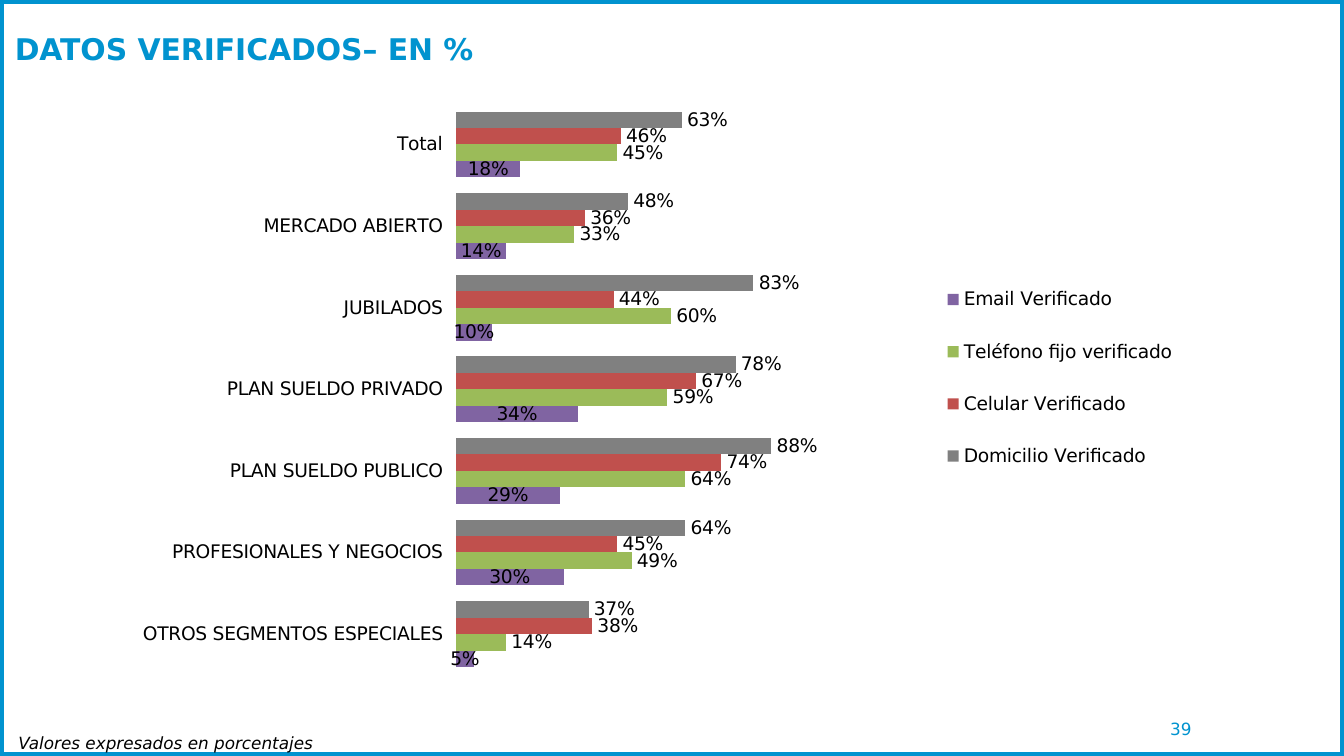
import pptx
import pptx.chart.data
import pptx.dml.color
import pptx.enum.chart
import pptx.enum.shapes
import pptx.enum.text
import pptx.oxml
import pptx.oxml.ns
import pptx.util
from pptx.util import Cm

FONT = "DejaVu Sans"
BLUE = "0193CF"
BLACK = "000000"
SLIDE_W, SLIDE_H = Cm(25.4), Cm(14.29)

SEGMENTS = ["Total", "MERCADO ABIERTO", "JUBILADOS", "PLAN SUELDO PRIVADO",
            "PLAN SUELDO PUBLICO", "PROFESIONALES Y NEGOCIOS",
            "OTROS SEGMENTOS ESPECIALES"]
LABEL_POS = pptx.enum.chart.XL_LABEL_POSITION
# Name, colour, label position, share per segment
VERIFIED = [
    ("Domicilio Verificado", "808080", LABEL_POS.OUTSIDE_END,
     [0.63, 0.48, 0.83, 0.78, 0.88, 0.64, 0.37]),
    ("Celular Verificado", "C0504D", LABEL_POS.OUTSIDE_END,
     [0.46, 0.36, 0.44, 0.67, 0.74, 0.45, 0.38]),
    ("Teléfono fijo verificado", "9BBB59", LABEL_POS.OUTSIDE_END,
     [0.45, 0.33, 0.6, 0.59, 0.64, 0.49, 0.14]),
    ("Email Verificado", "8064A2", LABEL_POS.CENTER,
     [0.18, 0.14, 0.1, 0.34, 0.29, 0.3, 0.05]),
]


def rgb(hex_color):
    return pptx.dml.color.RGBColor.from_string(hex_color)


def style_font(font, size, color, bold=False, italic=False):
    font.name = FONT
    font.size = pptx.util.Pt(size)
    font.color.rgb = rgb(color)
    font.bold = bold
    font.italic = italic


def add_frame(slide):
    frame = slide.shapes.add_shape(pptx.enum.shapes.MSO_SHAPE.RECTANGLE,
                                   0, 0, SLIDE_W, SLIDE_H)
    frame.shadow.inherit = False
    frame.fill.background()
    frame.line.color.rgb = rgb(BLUE)
    frame.line.width = pptx.util.Pt(4.5)


def add_text(slide, text, box, size, color, middle=False, right=False, **style):
    frame = slide.shapes.add_textbox(*box).text_frame
    frame.word_wrap = True
    if middle:
        frame.vertical_anchor = pptx.enum.text.MSO_ANCHOR.MIDDLE
        frame.margin_left = frame.margin_right = Cm(0.18)
        frame.margin_top = frame.margin_bottom = Cm(0.1)
    paragraph = frame.paragraphs[0]
    if right:
        paragraph.alignment = pptx.enum.text.PP_ALIGN.RIGHT
    run = paragraph.add_run()
    run.text = text
    style_font(run.font, size, color, **style)


def set_layout(parent, index, x, y, w, h, inner=False):
    """Place a chart part by fractions of the chart area."""
    for old in parent.findall(pptx.oxml.ns.qn("c:layout")):
        parent.remove(old)
    target = '<c:layoutTarget val="inner"/>' if inner else ""
    parent.insert(index, pptx.oxml.parse_xml(
        f'<c:layout {pptx.oxml.ns.nsdecls("c")}><c:manualLayout>{target}'
        '<c:xMode val="edge"/><c:yMode val="edge"/>'
        f'<c:x val="{x}"/><c:y val="{y}"/><c:w val="{w}"/><c:h val="{h}"/>'
        '</c:manualLayout></c:layout>'))


def style_axes(chart):
    segment_axis = chart.category_axis
    segment_axis.reverse_order = True
    segment_axis.has_major_gridlines = False
    segment_axis.major_tick_mark = pptx.enum.chart.XL_TICK_MARK.OUTSIDE
    segment_axis.format.line.fill.background()
    share_axis = chart.value_axis
    share_axis.minimum_scale, share_axis.maximum_scale = 0, 1
    share_axis.has_major_gridlines = False
    share_axis.visible = False


def style_series(series, color, label_position):
    series.format.fill.solid()
    series.format.fill.fore_color.rgb = rgb(color)
    labels = series.data_labels
    labels.show_value = True
    labels.number_format = "0%"
    labels.number_format_is_linked = False
    labels.position = label_position
    style_font(labels.font, 10, BLACK)


def add_verified_chart(slide, box):
    data = pptx.chart.data.CategoryChartData(number_format="0%")
    data.categories = SEGMENTS
    for name, _, _, shares in VERIFIED:
        data.add_series(name, shares)
    chart = slide.shapes.add_chart(
        pptx.enum.chart.XL_CHART_TYPE.BAR_CLUSTERED, *box, data).chart
    chart.has_title = False
    style_font(chart.font, 10, BLACK)
    style_axes(chart)

    # Bars
    bars = chart.plots[0]
    bars.gap_width = 95
    bars.vary_by_categories = False
    for series, (_, color, label_position, _) in zip(bars.series, VERIFIED):
        style_series(series, color, label_position)
    plot_area = chart._chartSpace.chart.plotArea
    set_layout(plot_area, 0, 0.37, 0, 0.291, 1, inner=True)

    # Legend
    chart.has_legend = True
    chart.legend.position = pptx.enum.chart.XL_LEGEND_POSITION.LEFT
    chart.legend.include_in_layout = False
    set_layout(chart.legend._element, 1, 0.73, 0.27, 0.26, 0.42)


def main():
    deck = pptx.Presentation()
    deck.slide_width, deck.slide_height = SLIDE_W, SLIDE_H
    slide = deck.slides.add_slide(deck.slide_layouts[6])

    # Frame and title
    add_frame(slide)
    add_text(slide, "DATOS VERIFICADOS– EN %",
             (Cm(0.1), Cm(0.08), Cm(21.44), Cm(1.68)), 16, BLUE,
             middle=True, bold=True)

    # Verified data by segment
    add_verified_chart(slide, (0, Cm(1.96), Cm(23.29), Cm(10.8)))

    # Footnote and page number
    add_text(slide, "Valores expresados en porcentajes",
             (Cm(0.1), Cm(13.72), Cm(12.7), Cm(0.64)), 9, BLACK, italic=True)
    add_text(slide, "39", (Cm(19.58), Cm(13.39), Cm(3.12), Cm(0.76)), 9, BLUE,
             middle=True, right=True)

    deck.save("out.pptx")


if __name__ == "__main__":
    main()
